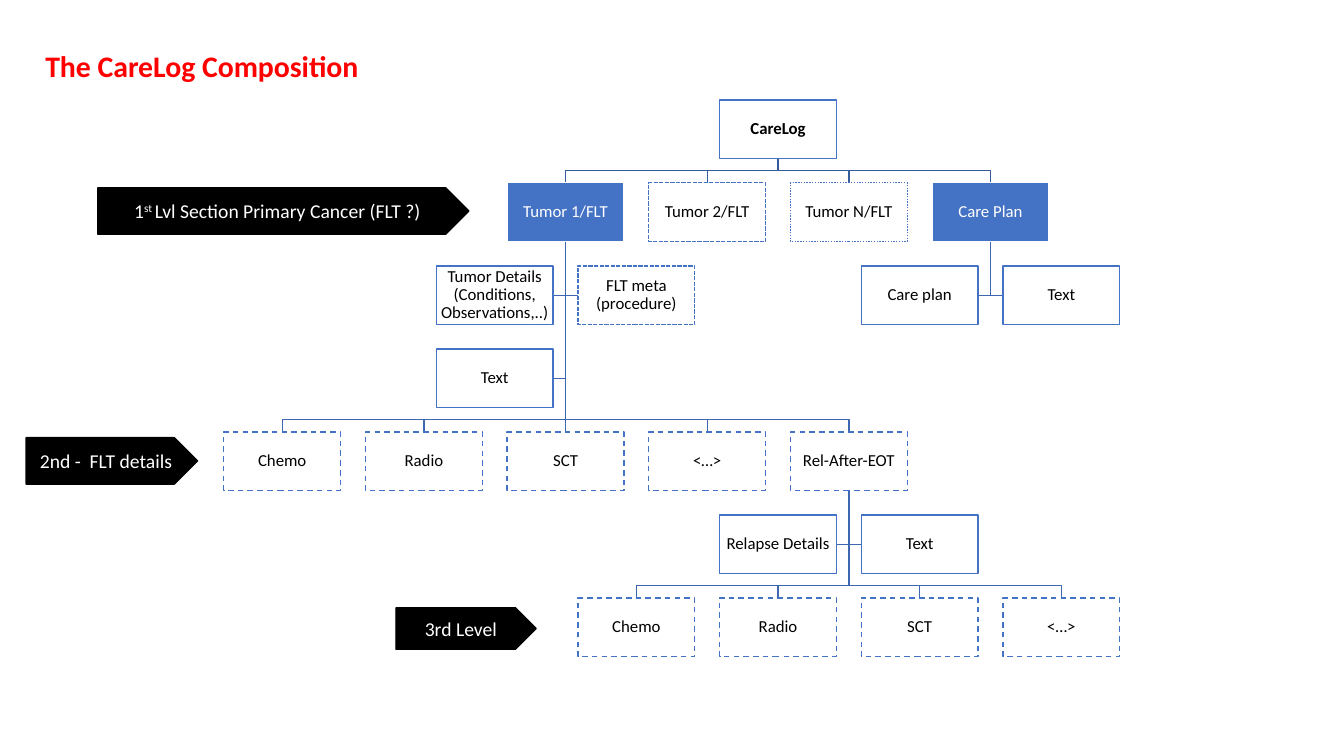
from dataclasses import dataclass

from pptx import Presentation
from pptx.dml.color import RGBColor
from pptx.enum.dml import MSO_LINE
from pptx.enum.shapes import MSO_CONNECTOR, MSO_SHAPE
from pptx.enum.text import MSO_ANCHOR, PP_ALIGN
from pptx.oxml.xmlchemy import OxmlElement
from pptx.util import Inches, Pt

RECTANGLE, PENTAGON = MSO_SHAPE.RECTANGLE, MSO_SHAPE.PENTAGON
STRAIGHT = MSO_CONNECTOR.STRAIGHT
MIDDLE, CENTER, LEFT = MSO_ANCHOR.MIDDLE, PP_ALIGN.CENTER, PP_ALIGN.LEFT
DASH, SHORT_DASH, DOTS = MSO_LINE.DASH, MSO_LINE.SQUARE_DOT, MSO_LINE.ROUND_DOT


@dataclass(frozen=True)
class Theme:
    font: str = "Calibri"
    title_size: float = 21.3
    label_size: float = 14
    box_size: float = 12
    red: str = "FF0000"
    black: str = "000000"
    white: str = "FFFFFF"
    blue: str = "4472C4"
    top_link: str = "365B9D"
    link: str = "3E67B2"


class TreeSlide:
    """Places elements on a grid of half-box columns and tree levels."""

    LEFT, TOP = 2.22, 0.99
    COLUMN, ROW = 0.7025, 0.8235
    BOX_WIDTH, BOX_HEIGHT = 1.65, 0.71  # in columns and rows
    BUS_GAP = 0.15  # in rows, above the children

    def __init__(self, page, theme):
        self.shapes = page.shapes
        self.theme = theme

    def point(self, column, row):
        return (Inches(self.LEFT + column * self.COLUMN),
                Inches(self.TOP + row * self.ROW))

    def frame(self, column, row, width, height):
        return (*self.point(column, row),
                Inches(width * self.COLUMN), Inches(height * self.ROW))

    def stroke(self, shape, color, dash=None):
        shape.line.color.rgb = RGBColor.from_string(color)
        shape.line.width = Pt(1)
        if dash is not None:
            shape.line.dash_style = dash

    def label(self, shape, spans, size, color, bold=False, align=CENTER):
        """Fill a shape with one paragraph of (text, baseline) spans."""
        para = shape.text_frame.paragraphs[0]
        para.alignment = align
        para.font.name = self.theme.font
        para.font.size = Pt(size)
        para.font.bold = bold
        para.font.color.rgb = RGBColor.from_string(color)
        for text, baseline in spans:
            span = para.add_run()
            span.text = text
            if baseline:
                span._r.get_or_add_rPr().set("baseline", str(baseline))
        return para

    def plate(self, kind, frame, fill, line, dash=None):
        shape = self.shapes.add_shape(kind, *frame)
        shape.shadow.inherit = False
        shape.fill.solid()
        shape.fill.fore_color.rgb = RGBColor.from_string(fill)
        self.stroke(shape, line, dash)
        shape.text_frame.word_wrap = True
        shape.text_frame.vertical_anchor = MIDDLE
        return shape

    def title(self, text, frame):
        box = self.shapes.add_textbox(*self.frame(*frame))
        box.text_frame.word_wrap = False
        self.label(box, [(text, 0)], self.theme.title_size,
                   self.theme.red, bold=True, align=LEFT)

    def level(self, spans, frame):
        theme = self.theme
        shape = self.plate(PENTAGON, self.frame(*frame), theme.black, theme.black)
        self.label(shape, spans, theme.label_size, theme.white)

    def box(self, text, column, row, dash=None, filled=False, bold=False):
        theme = self.theme
        fill, line, ink = ((theme.blue, theme.white, theme.white) if filled
                           else (theme.white, theme.blue, theme.black))
        frame = self.frame(column, row, self.BOX_WIDTH, self.BOX_HEIGHT)
        shape = self.plate(RECTANGLE, frame, fill, line, dash)
        text_frame = shape.text_frame
        text_frame.margin_left = text_frame.margin_right = Inches(0.01)
        text_frame.margin_top = text_frame.margin_bottom = Inches(0.01)
        para = self.label(shape, [(text, 0)], theme.box_size, ink, bold)
        para.line_spacing = 0.9

    def polyline(self, points, color):
        points = [self.point(*point) for point in points]
        if len(points) == 2:
            shape = self.shapes.add_connector(STRAIGHT, *points[0], *points[1])
            shape._element.spPr.append(OxmlElement("a:effectLst"))
        else:
            builder = self.shapes.build_freeform(*points[0])
            builder.add_line_segments(points[1:], close=False)
            shape = builder.convert_to_shape()
            shape.shadow.inherit = False
            shape.fill.background()
        self.stroke(shape, color)

    def link_below(self, parent, child, color):
        half = self.BOX_WIDTH / 2
        start = (parent[0] + half, parent[1] + self.BOX_HEIGHT)
        end = (child[0] + half, child[1])
        bus = child[1] - self.BUS_GAP
        corners = [(start[0], bus), (end[0], bus)] if parent[0] != child[0] else []
        self.polyline([start, *corners, end], color)

    def link_beside(self, parent, child, color):
        trunk = parent[0] + self.BOX_WIDTH / 2
        middle = child[1] + self.BOX_HEIGHT / 2
        edge = child[0] + (self.BOX_WIDTH if child[0] < parent[0] else 0)
        start = (trunk, parent[1] + self.BOX_HEIGHT)
        self.polyline([start, (trunk, middle), (edge, middle)], color)


# Grid places (column, row) of the boxes that have children
ROOT, TUMOR, CARE_PLAN, RELAPSE = (7, 0), (4, 1), (10, 1), (8, 4)

# Parent: columns of the row below, then places beside the trunk
BELOW = [(ROOT, 1, (10, 8, 6, 4)), (RELAPSE, 6, (11, 9, 7, 5)),
         (TUMOR, 4, (8, 6, 4, 2, 0))]
BESIDE = [(CARE_PLAN, ((11, 2), (9, 2))),
          (TUMOR, ((3, 3), (5, 2), (3, 2))),
          (RELAPSE, ((9, 5), (7, 5)))]

# Text, column, row, line dash
BOXES = [
    ("Tumor 2/FLT", 6, 1, SHORT_DASH),
    ("Tumor N/FLT", 8, 1, DOTS),
    ("Tumor Details (Conditions, Observations,..)", 3, 2, None),
    ("FLT meta (procedure)", 5, 2, SHORT_DASH),
    ("Care plan", 9, 2, None),
    ("Text", 11, 2, None),
    ("Text", 3, 3, None),
    ("Rel-After-EOT", *RELAPSE, DASH),
    ("Relapse Details", 7, 5, None),
    ("Text", 9, 5, None),
]
TREATMENTS = ("Chemo", "Radio", "SCT", "<…>")

# Level labels: spans, then left, top, width, height on the grid
LEVELS = [
    ([("1", 0), ("st ", 30000), ("Lvl Section Primary Cancer (FLT ?)", 0)],
     (-1.78, 1.06, 5.24, 0.56)),
    ([("2nd -  FLT details", 0)], (-2.79, 4.07, 2.42, 0.56)),
    ([("3rd Level", 0)], (2.43, 6.12, 1.98, 0.5)),
]


def main():
    deck = Presentation()
    deck.slide_width, deck.slide_height = Inches(13.33), Inches(7.5)
    theme = Theme()
    tree = TreeSlide(deck.slides.add_slide(deck.slide_layouts[6]), theme)

    # Links, behind the boxes
    for parent, children in BESIDE:
        for child in children:
            tree.link_beside(parent, child, theme.link)
    for parent, row, columns in BELOW:
        color = theme.top_link if parent == ROOT else theme.link
        for column in columns:
            tree.link_below(parent, (column, row), color)

    # Boxes
    tree.box("CareLog", *ROOT, bold=True)
    tree.box("Tumor 1/FLT", *TUMOR, filled=True)
    tree.box("Care Plan", *CARE_PLAN, filled=True)
    for text, column, row, dash in BOXES:
        tree.box(text, column, row, dash)
    for first_column, row in ((0, 4), (5, 6)):
        for index, text in enumerate(TREATMENTS):
            tree.box(text, first_column + 2 * index, row, DASH)

    # Level labels and title
    for spans, frame in LEVELS:
        tree.level(spans, frame)
    tree.title("The CareLog Composition", (-2.66, -0.69, 4.74, 0.56))

    deck.save("out.pptx")


if __name__ == "__main__":
    main()
